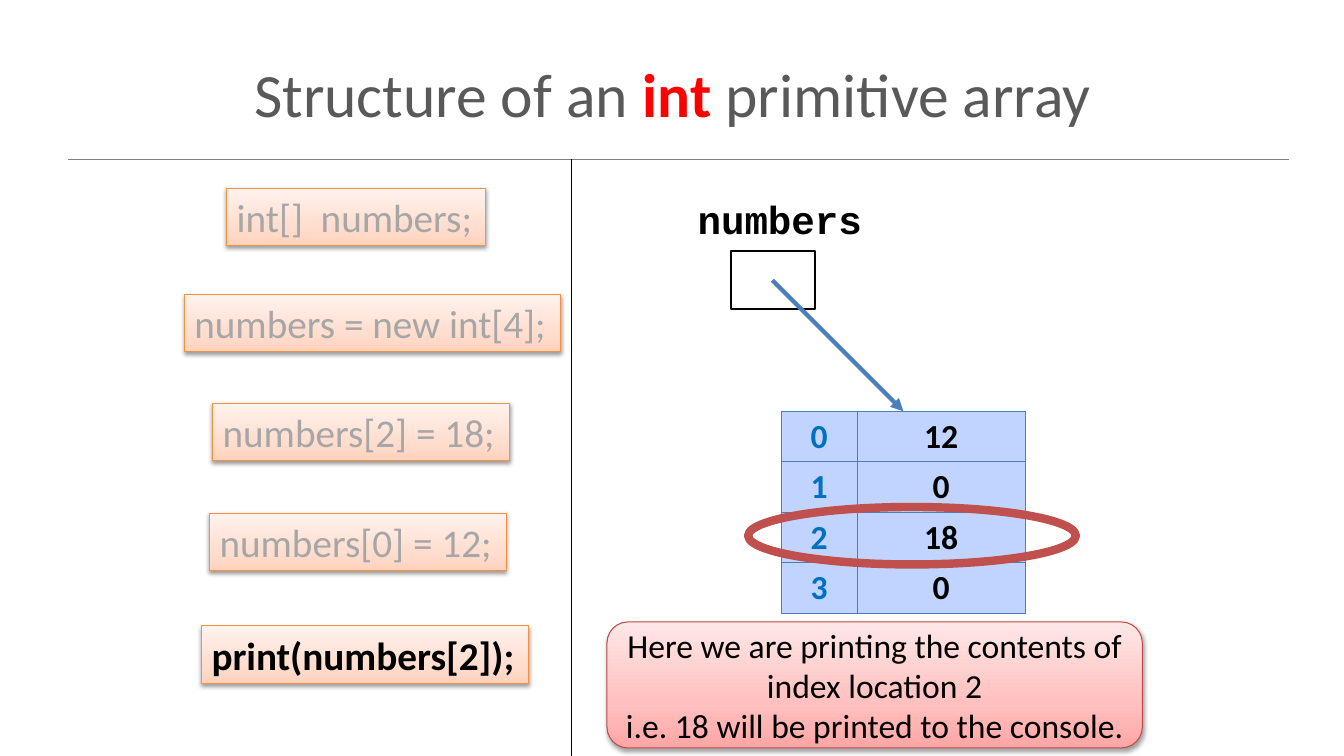
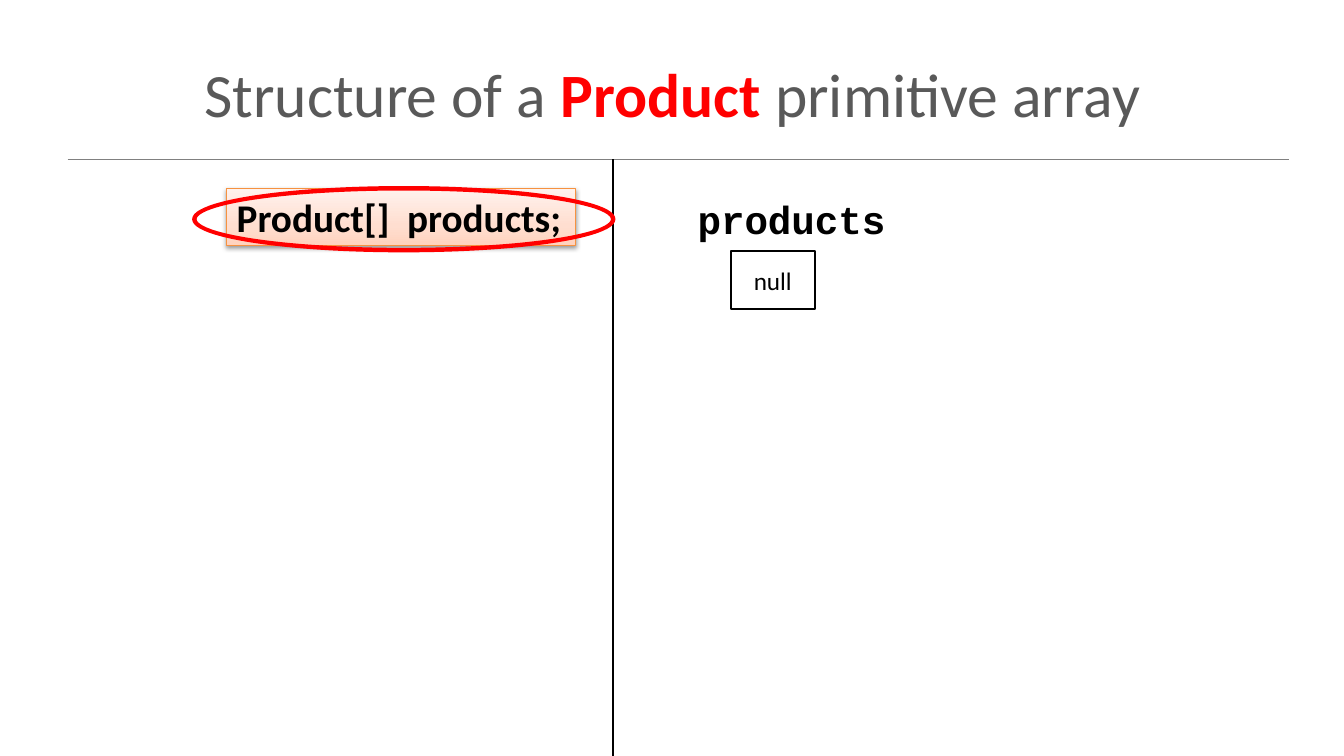
import pptx
import pptx.dml.color
import pptx.enum.shapes
import pptx.enum.text
import pptx.oxml
import pptx.oxml.ns
import pptx.util
from dataclasses import dataclass

Inches, Pt = pptx.util.Inches, pptx.util.Pt
SHAPE = pptx.enum.shapes.MSO_SHAPE
ALIGN = pptx.enum.text.PP_ALIGN
ANCHOR = pptx.enum.text.MSO_ANCHOR
AUTO_SIZE = pptx.enum.text.MSO_AUTO_SIZE
DRAWING_NS = pptx.oxml.ns.nsdecls("a")


@dataclass(frozen=True)
class Theme:
    # Fonts and type sizes
    body_font: str = "Calibri"
    label_font: str = "Courier New"
    title_size: int = 44
    code_size: int = 28
    note_size: int = 24
    value_size: int = 18
    # Colours
    ink: str = "000000"
    title: str = "595959"
    emphasis: str = "FF0000"
    rule: str = "808080"
    faded: str = "A6A6A6"
    index: str = "0070C0"
    blue: str = "4B7EBC"
    cell: str = "C0D4FF"
    ring: str = "C0504D"
    code_line: str = "F69240"
    note_line: str = "BF4C48"
    # Gradients, bottom to top
    code_fill: tuple = ("FFD2BD", "FFDED0", "FFF2ED")
    note_fill: tuple = ("FFA6A5", "FFC0BF", "FFE7E7")


THEME = Theme()
HEADER_BOTTOM = 1.58
SLIDE_WIDTH, SLIDE_HEIGHT = 13.33, 7.5


def rgb(color):
    return pptx.dml.color.RGBColor.from_string(color)


def inches(*lengths):
    return [Inches(length) for length in lengths]


# Text and lines
def write(paragraph, text, *, size=THEME.code_size, color=THEME.ink, bold=False,
          font=THEME.body_font, align=ALIGN.LEFT):
    paragraph.alignment = align
    run = paragraph.add_run()
    run.text = text
    run.font.name, run.font.size, run.font.bold = font, Pt(size), bold
    run.font.color.rgb = rgb(color)


def set_line(line, color, width):
    line.color.rgb = rgb(color)
    line.width = Pt(width)


def add_line(slide, start, end, color, width, arrow=False):
    line = slide.shapes.add_connector(
        pptx.enum.shapes.MSO_CONNECTOR.STRAIGHT, *inches(*start, *end))
    set_line(line.line, color, width)
    properties = line._element.spPr
    if arrow:
        properties.find(pptx.oxml.ns.qn("a:ln")).append(
            pptx.oxml.parse_xml(f'<a:tailEnd {DRAWING_NS} type="triangle"/>'))
    properties.append(pptx.oxml.parse_xml(f"<a:effectLst {DRAWING_NS}/>"))
    return line


# Shapes
def add_outline(slide, kind, box, color, width):
    shape = slide.shapes.add_shape(kind, *inches(*box))
    shape.shadow.inherit = False
    shape.fill.background()
    set_line(shape.line, color, width)
    return shape


def add_panel(slide, kind, box, colors, line_color):
    """Add a shape with an upward gradient and a soft shadow below."""
    panel = add_outline(slide, kind, box, line_color, 0.75)
    properties = panel._element.spPr
    stops = "".join(f'<a:gs pos="{position}000"><a:srgbClr val="{color}"/></a:gs>'
                    for position, color in zip((0, 35, 100), colors))
    properties.replace(
        properties.find(pptx.oxml.ns.qn("a:noFill")),
        pptx.oxml.parse_xml(
            f'<a:gradFill {DRAWING_NS} rotWithShape="1"><a:gsLst>{stops}</a:gsLst>'
            '<a:lin ang="16200000" scaled="0"/></a:gradFill>'))
    properties.find(pptx.oxml.ns.qn("a:effectLst")).append(
        pptx.oxml.parse_xml(
            f'<a:outerShdw {DRAWING_NS} blurRad="40000" dist="20000" dir="5400000" '
            'rotWithShape="0"><a:srgbClr val="000000"><a:alpha val="38000"/>'
            '</a:srgbClr></a:outerShdw>'))
    return panel


def add_statement(slide, code, left, top, width, current=False):
    statement = add_panel(slide, SHAPE.RECTANGLE, (left, top, width, 0.57),
                          THEME.code_fill, THEME.code_line)
    frame = statement.text_frame
    frame.word_wrap = False
    frame.auto_size = AUTO_SIZE.SHAPE_TO_FIT_TEXT
    write(frame.paragraphs[0], code, bold=current,
          color=THEME.ink if current else THEME.faded)


def add_note(slide, box, lines):
    note = add_panel(slide, SHAPE.ROUNDED_RECTANGLE, box,
                     THEME.note_fill, THEME.note_line)
    frame = note.text_frame
    frame.word_wrap = True
    frame.vertical_anchor = ANCHOR.MIDDLE
    for number, line in enumerate(lines):
        paragraph = frame.add_paragraph() if number else frame.paragraphs[0]
        write(paragraph, line, size=THEME.note_size, align=ALIGN.CENTER)


def add_variable(slide, name, value=None):
    """Add a named memory box, with its value if it holds one."""
    label = slide.shapes.add_textbox(*inches(6.82, 1.89, 2.08, 0.57)).text_frame
    label.word_wrap = True
    write(label.paragraphs[0], name, bold=True, font=THEME.label_font)
    memory = add_outline(slide, SHAPE.RECTANGLE, (7.25, 2.49, 0.83, 0.58),
                         THEME.ink, 1.5)
    if value:
        memory.text_frame.word_wrap = False
        write(memory.text_frame.paragraphs[0], value, size=THEME.value_size,
              align=ALIGN.CENTER)


# Array table
def fill_cell(cell, text, color):
    properties = cell._tc.get_or_add_tcPr()
    for edge in ("lnL", "lnR", "lnT", "lnB"):
        properties.append(pptx.oxml.parse_xml(
            f'<a:{edge} {DRAWING_NS} w="9525"><a:solidFill>'
            f'<a:srgbClr val="{THEME.blue}"/></a:solidFill></a:{edge}>'))
    cell.fill.solid()
    cell.fill.fore_color.rgb = rgb(THEME.cell)
    cell.vertical_anchor = ANCHOR.MIDDLE
    write(cell.text_frame.paragraphs[0], text, size=THEME.note_size, color=color,
          bold=True, align=ALIGN.CENTER)


def add_array(slide, left, top, values):
    widths, row_height = (0.75, 1.67), 0.5
    array = slide.shapes.add_table(
        len(values), 2,
        *inches(left, top, sum(widths), row_height * len(values))).table
    for column, width in zip(array.columns, widths):
        column.width = Inches(width)
    for index, value in enumerate(values):
        fill_cell(array.cell(index, 0), str(index), THEME.index)
        fill_cell(array.cell(index, 1), str(value), THEME.ink)


# Shared layout and slide frame
def style_layout(layout):
    title = layout.placeholders[0]
    title.left, title.top, title.width, title.height = inches(0.67, 0.3, 12, 1.25)
    title.text_frame.vertical_anchor = ANCHOR.MIDDLE


def add_header_rule(slide):
    """Draw the rule under the title and hand it to the layout."""
    rule = add_line(slide, (0.67, HEADER_BOTTOM), (12.78, HEADER_BOTTOM),
                    THEME.rule, 1)
    slide.slide_layout.shapes.element.append(rule._element)


def start_slide(deck, layout, title_parts, divider):
    slide = deck.slides.add_slide(layout)
    heading = slide.shapes.title.text_frame.paragraphs[0]
    before, element_type, after = title_parts
    for text, stressed in ((before, False), (element_type, True), (after, False)):
        write(heading, text, size=THEME.title_size, bold=stressed,
              color=THEME.emphasis if stressed else THEME.title, align=ALIGN.CENTER)
    add_line(slide, (divider, HEADER_BOTTOM), (divider, SLIDE_HEIGHT), THEME.ink, 1)
    return slide


# Slides
def build_int_array(deck, layout):
    slide = start_slide(deck, layout,
                        ("Structure of an ", "int", " primitive array"), 5.67)
    add_header_rule(slide)
    for code, left, top, width in (
            ("int[]  numbers;", 2.25, 1.87, 2.57),
            ("numbers = new int[4];", 1.83, 2.92, 3.73),
            ("numbers[2] = 18;", 2.11, 4, 2.94),
            ("numbers[0] = 12;", 2.08, 5.09, 2.94)):
        add_statement(slide, code, left, top, width)
    add_statement(slide, "print(numbers[2]);", 2, 6.21, 3.24, current=True)
    add_variable(slide, "numbers")
    add_array(slide, 7.75, 4.08, (12, 0, 18, 0))
    add_line(slide, (7.66, 2.78), (8.96, 4.08), THEME.blue, 3, arrow=True)
    add_note(slide, (6.02, 6.17, 5.31, 1.25),
             ("Here we are printing the contents of index location 2",
              "i.e. 18 will be printed to the console."))
    add_outline(slide, SHAPE.OVAL, (7.42, 5.03, 3.25, 0.57), THEME.ring, 6)


def build_product_array(deck, layout):
    slide = start_slide(deck, layout,
                        ("Structure of a ", "Product ", "primitive array"), 6.08)
    add_statement(slide, "Product[]  products;", 2.25, 1.87, 3.46, current=True)
    add_variable(slide, "products", "null")
    ring = add_outline(slide, SHAPE.DONUT, (1.92, 1.86, 4.17, 0.63),
                       THEME.emphasis, 2)
    ring.adjustments[0] = 0.026
    ring.fill.solid()
    ring.fill.fore_color.rgb = rgb(THEME.emphasis)


def main():
    deck = pptx.Presentation()
    deck.slide_width, deck.slide_height = inches(SLIDE_WIDTH, SLIDE_HEIGHT)
    title_only = deck.slide_layouts[5]
    style_layout(title_only)
    build_int_array(deck, title_only)
    build_product_array(deck, title_only)
    deck.save("out.pptx")


if __name__ == "__main__":
    main()
